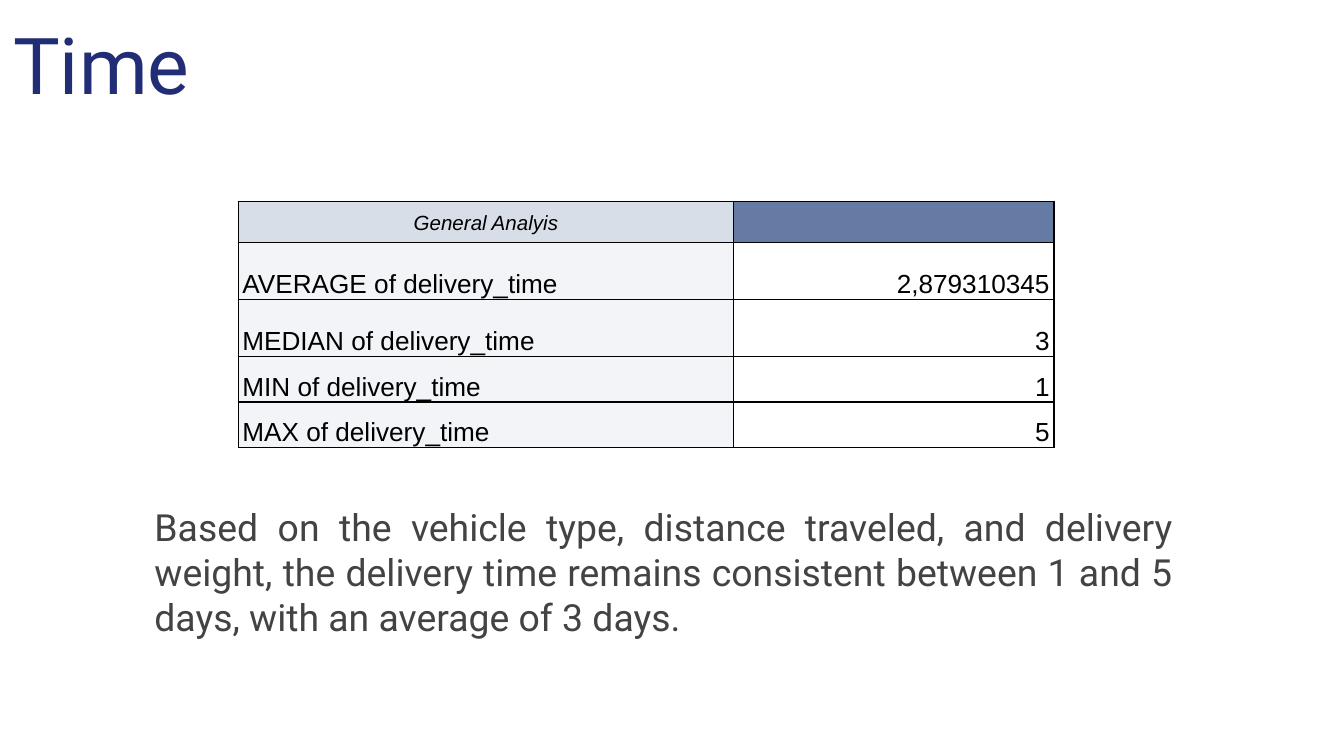
"""Build the delivery time slide with its summary table."""
from lxml.etree import SubElement as Sub
from pptx import Presentation
from pptx.dml.color import RGBColor as RGB
from pptx.enum.text import MSO_ANCHOR as Anchor, MSO_AUTO_SIZE as Fit, PP_ALIGN as Align
from pptx.oxml.ns import qn
from pptx.util import Cm, Pt

HUES = {"navy": "212D74", "gray": "434343", "black": "000000", "white": "FFFFFF",
        "head": "D8DEE8", "blue": "657BA3", "pale": "F2F4F7"}


def write(frame, text, size, font="Arial", hue="black", align=Align.LEFT, space=1.0, slant=False):
    frame.word_wrap = True
    para = frame.paragraphs[0]
    para.alignment = align
    para.line_spacing = space
    run = para.add_run()
    run.text = text
    run.font.size = Pt(size)
    run.font.name = font
    run.font.italic = slant
    run.font.color.rgb = RGB.from_string(HUES[hue])


def dress(cell, hue, anchor):
    cell.margin_left = cell.margin_right = Cm(0.08)
    cell.margin_top = cell.margin_bottom = 0
    cell.vertical_anchor = anchor
    props = cell._tc.get_or_add_tcPr()
    for side in ("lnL", "lnR", "lnT", "lnB"):
        line = Sub(props, qn(f"a:{side}"), w=str(Pt(0.75)))
        Sub(Sub(line, qn("a:solidFill")), qn("a:srgbClr"), val=HUES["black"])
    cell.fill.solid()
    cell.fill.fore_color.rgb = RGB.from_string(HUES[hue])


deck = Presentation()
deck.slide_width, deck.slide_height = Cm(25.4), Cm(14.29)
slide = deck.slides.add_slide(deck.slide_layouts[5])

box = slide.shapes.add_textbox(Cm(2.67), Cm(8.43), Cm(19.76), Cm(4.8))
note = box.text_frame
note.margin_left = note.margin_right = note.margin_bottom = Cm(0.25)
note.margin_top = Cm(1.1)
write(note, "Based on the vehicle type, distance traveled, and delivery weight, "
      "the delivery time remains consistent between 1 and 5 days, "
      "with an average of 3 days.", 20, font="Roboto", hue="gray", align=Align.JUSTIFY)

stats = [("AVERAGE", "2,879310345"), ("MEDIAN", "3"), ("MIN", "1"), ("MAX", "5")]
wide = [9.37, 6.05]
high = [0.77, 1.08, 1.08, 0.86, 0.86]
table = slide.shapes.add_table(len(high), len(wide), Cm(4.5), Cm(3.81),
                               Cm(sum(wide)), Cm(sum(high))).table
for col, width in zip(table.columns, wide):
    col.width = Cm(width)
for row, height in zip(table.rows, high):
    row.height = Cm(height)

for col, hue in enumerate(("head", "blue")):
    dress(table.cell(0, col), hue, Anchor.MIDDLE)
write(table.cell(0, 0).text_frame, "General Analyis", 11,
      align=Align.CENTER, space=1.15, slant=True)
for row, (name, value) in enumerate(stats, 1):
    label, figure = table.cell(row, 0), table.cell(row, 1)
    dress(label, "pale", Anchor.BOTTOM)
    dress(figure, "white", Anchor.BOTTOM)
    write(label.text_frame, f"{name} of delivery_time", 14, space=1.15)
    write(figure.text_frame, value, 14, align=Align.RIGHT, space=1.15)

title = slide.shapes.title
title.left, title.top, title.width, title.height = 0, 0, Cm(11.05), Cm(2.34)
head = title.text_frame
head.margin_left = head.margin_right = head.margin_top = head.margin_bottom = Cm(0.25)
head.vertical_anchor = Anchor.BOTTOM
head.auto_size = Fit.NONE
write(head, "Time", 42, font="Roboto", hue="navy")

deck.save("out.pptx")
